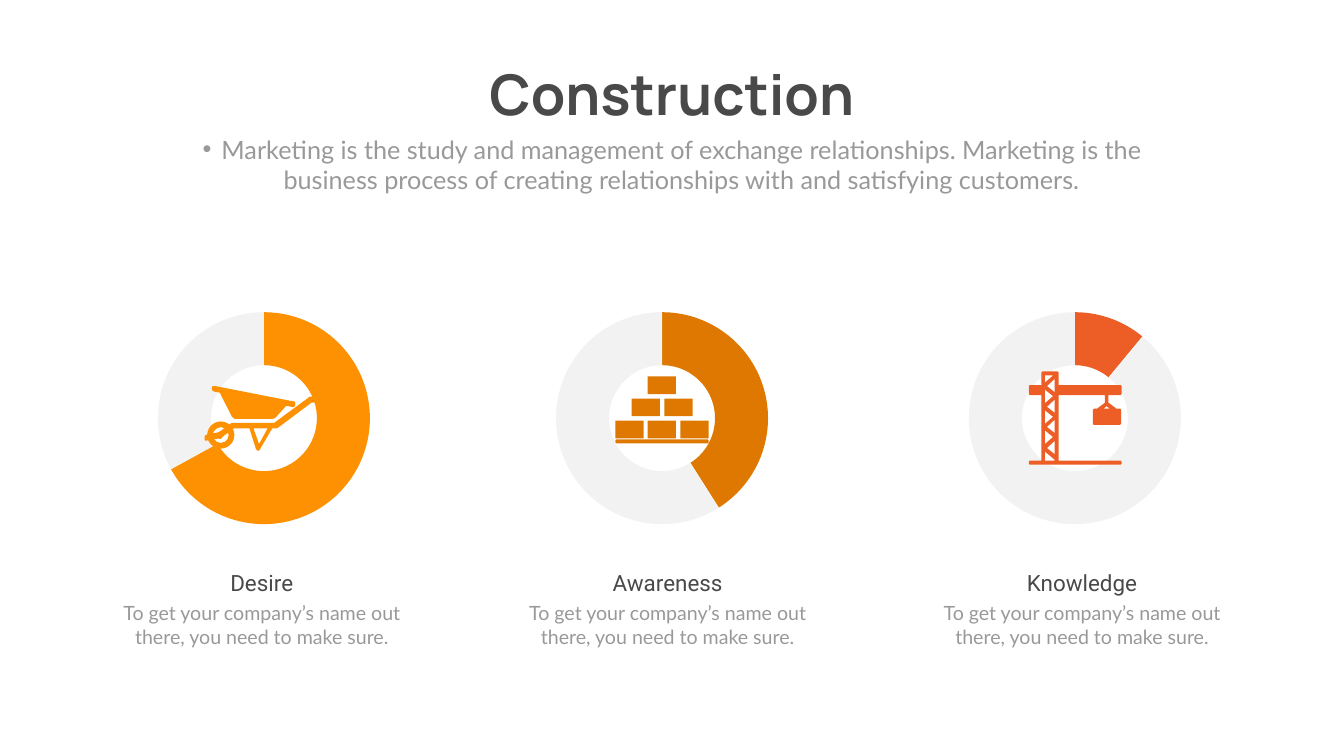
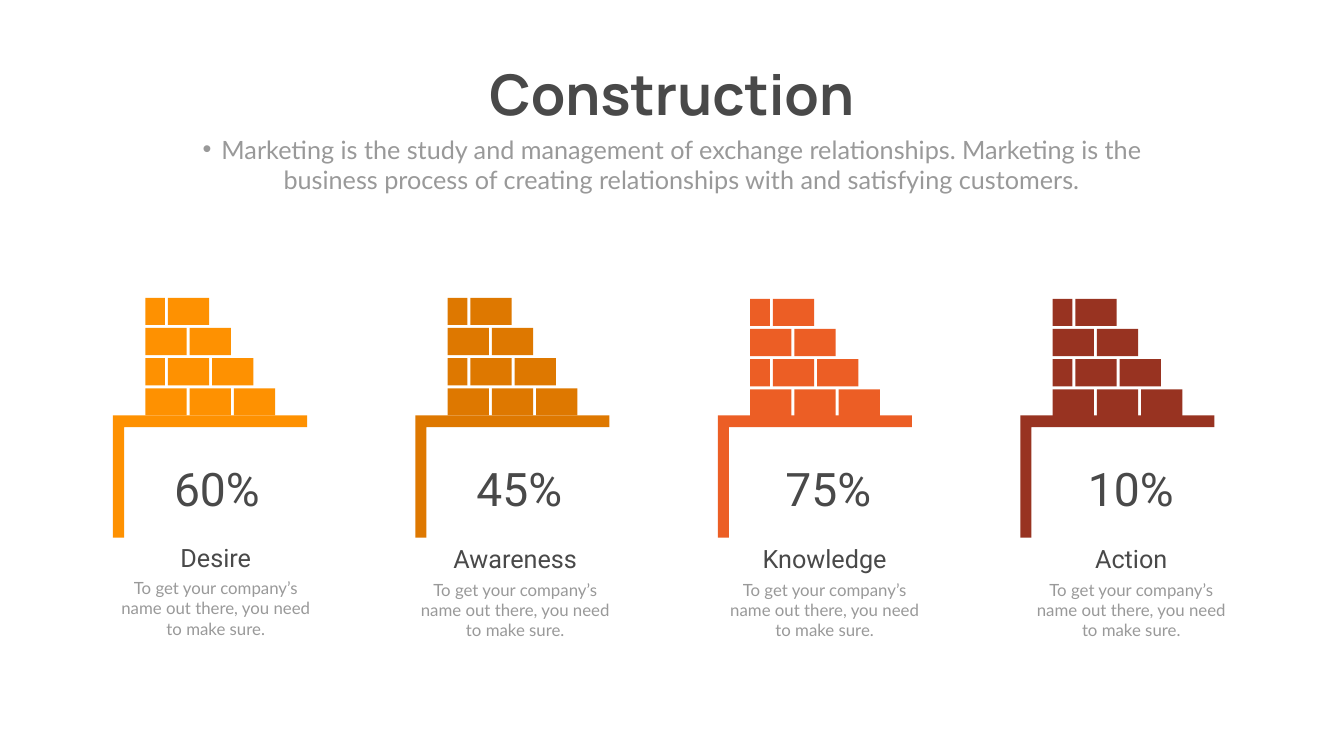
from math import hypot

from pptx import Presentation
from pptx.chart.data import CategoryChartData
from pptx.dml.color import RGBColor
from pptx.enum.chart import XL_CHART_TYPE
from pptx.enum.shapes import MSO_SHAPE
from pptx.enum.text import MSO_ANCHOR, MSO_AUTO_SIZE, PP_ALIGN
from pptx.oxml import parse_xml
from pptx.oxml.ns import nsdecls, qn
from pptx.util import Cm, Pt

COLORS = {
    "heading": "494949",
    "muted": "999999",
    "track": "F2F2F2",
    "desire": "FE9101",
    "awareness": "DE7800",
    "knowledge": "EC5E25",
    "action": "983321",
}
TITLE = "Construction"
SUBTITLE = ("Marketing is the study and management of exchange relationships. "
            "Marketing is the business process of creating relationships with "
            "and satisfying customers.")
DETAIL = "To get your company’s name out there, you need to make sure."
ICON_UNIT = Cm(0.0254)  # icon outlines are drawn on this grid

BRICK_WIDTH, HALF_BRICK, BRICK_HEIGHT = 2.08, 0.99, 1.37
BRICK_PITCH, COURSE_PITCH, JOINT = 2.23, 1.52, 0.15
WALL_COURSES = [(True, 1), (False, 2), (True, 2), (False, 3)]  # starts with half, whole bricks


def rgb(name):
    return RGBColor.from_string(COLORS[name])


def place(shape, left, top, width, height):
    shape.left, shape.top = Cm(left), Cm(top)
    shape.width, shape.height = Cm(width), Cm(height)


def write(shape, text, size, font, color, bold=False):
    frame = shape.text_frame
    frame.word_wrap = True
    frame.auto_size = MSO_AUTO_SIZE.SHAPE_TO_FIT_TEXT
    frame.vertical_anchor = MSO_ANCHOR.TOP
    frame.text = text
    paragraph = frame.paragraphs[0]
    paragraph.alignment = PP_ALIGN.CENTER
    paragraph.space_before = Pt(0)
    paragraph.font.size = Pt(size)
    paragraph.font.name = font
    paragraph.font.bold = bold
    paragraph.font.color.rgb = rgb(color)


def paint(shape, color):
    shape.shadow.inherit = False
    shape.fill.solid()
    shape.fill.fore_color.rgb = rgb(color)
    shape.line.fill.background()


def add_headed_slide(prs):
    slide = prs.slides.add_slide(prs.slide_layouts[1])
    title, subtitle = slide.shapes.title, slide.placeholders[1]

    place(title, 23.98, 2.84, 19.76, 3.68)
    write(title, TITLE, 80, "Manrope", "heading", bold=True)
    title.text_frame.word_wrap = False
    title.text_frame.vertical_anchor = MSO_ANCHOR.MIDDLE

    place(subtitle, 7.42, 6.63, 52.88, 3.33)
    subtitle.text_frame.text = SUBTITLE
    properties = subtitle.text_frame.paragraphs[0]._p.get_or_add_pPr()
    properties.set("marL", "0")
    properties.set("indent", "0")
    properties.append(parse_xml(f"<a:buNone {nsdecls('a')}/>"))
    write(subtitle, SUBTITLE, 36, "Lato", "muted")
    return slide


def add_centered_text(slide, text, center, top, width, height, size, font, color):
    box = slide.shapes.add_textbox(Cm(center - width / 2), Cm(top), Cm(width), Cm(height))
    write(box, text, size, font, color)


def add_ring(slide, center, share, color):
    data = CategoryChartData()
    data.categories = ["1", "2"]
    data.add_series("Series 1", (share, 100 - share))
    width, height, diameter = 12.17, 11.4, 10.68
    chart = slide.shapes.add_chart(
        XL_CHART_TYPE.DOUGHNUT, Cm(center - width / 2), Cm(15.37),
        Cm(width), Cm(height), data).chart
    chart.has_legend = False
    chart.has_title = False
    chart.font.name = "Calibri"
    chart.font.size = Pt(10)
    chart.font.color.rgb = rgb("muted")
    plot = chart.plots[0]
    plot.vary_by_categories = True
    for index, slice_color in enumerate((color, "track")):
        slice_format = plot.series[0].points[index].format
        slice_format.fill.solid()
        slice_format.fill.fore_color.rgb = rgb(slice_color)
        slice_format.line.fill.background()

    plot_area = chart._chartSpace.chart.plotArea
    plot_area.find(".//" + qn("c:holeSize")).set("val", "85")
    for old_layout in plot_area.findall(qn("c:layout")):
        plot_area.remove(old_layout)
    w, h = diameter / width, diameter / height
    plot_area.insert(0, parse_xml(
        f'<c:layout {nsdecls("c")}><c:manualLayout><c:layoutTarget val="inner"/>'
        '<c:xMode val="edge"/><c:yMode val="edge"/>'
        f'<c:x val="{(1 - w) / 2:.3f}"/><c:y val="{(1 - h) / 2:.3f}"/>'
        f'<c:w val="{w:.3f}"/><c:h val="{h:.3f}"/></c:manualLayout></c:layout>'))


def rounded(corners):
    """Expand (x, y, radius) corners into short arcs; (x, y) corners stay sharp."""
    points = []
    for i, (x, y, *radius) in enumerate(corners):
        if not radius:
            points.append((x, y))
            continue
        ends = []
        for neighbour in (corners[i - 1], corners[(i + 1) % len(corners)]):
            dx, dy = neighbour[0] - x, neighbour[1] - y
            cut = min(radius[0] / hypot(dx, dy), 0.5)
            ends.append((x + dx * cut, y + dy * cut))
        (ax, ay), (bx, by) = ends
        for t in (0, 0.25, 0.5, 0.75, 1):
            a, c, b = (1 - t) ** 2, 2 * t * (1 - t), t ** 2
            points.append((a * ax + c * x + b * bx, a * ay + c * y + b * by))
    return points


def add_outline(slide, left, top, contours, color):
    """Draw closed contours as one shape; inner contours become holes."""
    contours = [rounded(contour) for contour in contours]
    builder = slide.shapes.build_freeform(*contours[0][0], scale=float(ICON_UNIT))
    for i, (start, *rest) in enumerate(contours):
        if i:
            builder.move_to(*start)
        builder.add_line_segments(rest, close=True)
    paint(builder.convert_to_shape(Cm(left), Cm(top)), color)


def box_corners(x, y, width, height, *radius):
    return [(x, y, *radius), (x + width, y, *radius),
            (x + width, y + height, *radius), (x, y + height, *radius)]


def add_wheelbarrow(slide, left, top, color):
    wheel = slide.shapes.add_shape(
        MSO_SHAPE.DONUT, Cm(left + 0.13), Cm(top + 1.78), Cm(1.37), Cm(1.37))
    wheel.adjustments[0] = 0.21
    paint(wheel, color)
    frame = [(246, 21, 6), (208, 21, 3), (138, 73), (54, 73, 2), (32, 89), (26, 92),
             (0, 97, 5), (0, 109, 5), (28, 104), (32, 105), (39, 98), (58, 84),
             (89, 84), (103, 128, 3), (109, 128, 3), (134, 84), (143, 84, 2),
             (212, 33), (246, 33, 6)]
    leg_opening = [(108, 115), (97, 84), (125, 84)]
    add_outline(slide, left, top, [frame, leg_opening], color)
    tub = [(175, 30), (22, 0), (15, -1, 6), (14, 10, 6), (30, 13), (57, 65, 6),
           (138, 65, 6), (162, 39), (172, 41), (179, 42, 5), (180, 31, 5)]
    add_outline(slide, left, top, [tub], color)


def add_brick_stack(slide, left, top, color):
    bricks = [box_corners((3 - count) * 32.2 + i * 64.4, (count - 1) * 44, 56, 35)
              for count in (1, 2, 3) for i in range(count)]
    pallet = box_corners(0, 125, 185, 8, 4)
    add_outline(slide, left, top, bricks + [pallet], color)


def add_crane(slide, left, top, color):
    silhouette = [
        (184, 47, 3), (184, 27, 3), (59, 27), (59, 0, 3), (25, 0, 3), (25, 27),
        (0, 27, 3), (0, 47, 3), (25, 47), (25, 177), (0, 177, 4), (0, 185, 4),
        (184, 185, 4), (184, 177, 4), (59, 177), (59, 47), (151, 47), (151, 62),
        (135, 74), (127, 74, 3), (127, 106, 3), (183, 106, 3), (183, 74, 3),
        (174, 74), (158, 62), (158, 47)]
    left_gaps = [[(32, y), (48, y + 13), (32, y + 27)] for y in (36, 77, 117)]
    right_gaps = [[(51, y), (36, y + 14), (51, y + 26)] for y in (15, 56, 96, 138)]
    mast_ends = [[(32, 8), (48, 8), (32, 22)],
                 [(51, 177), (32, 177), (32, 159), (51, 175)]]
    hook_gap = [(161, 74), (148, 74), (154, 69)]
    add_outline(slide, left, top,
                [silhouette, *left_gaps, *right_gaps, *mast_ends, hook_gap], color)


def add_wall(slide, left, top, color):
    wall = slide.shapes.add_group_shape()
    for course, (starts_with_half, whole_bricks) in enumerate(WALL_COURSES):
        y = top + course * COURSE_PITCH
        offset = HALF_BRICK + JOINT if starts_with_half else 0
        bricks = [(left + offset + i * BRICK_PITCH, BRICK_WIDTH) for i in range(whole_bricks)]
        if starts_with_half:
            bricks.append((left, HALF_BRICK))
        for x, width in bricks:
            paint(wall.shapes.add_shape(MSO_SHAPE.RECTANGLE, Cm(x), Cm(y),
                                        Cm(width), Cm(BRICK_HEIGHT)), color)


def add_platform(slide, left, color):
    """Add an L-shaped bracket, a preset that MSO_SHAPE does not list."""
    platform = slide.shapes.add_shape(
        MSO_SHAPE.RECTANGLE, Cm(left), Cm(20.93), Cm(9.78), Cm(6.17))
    properties = platform._element.spPr
    properties.replace(properties.find(qn("a:prstGeom")), parse_xml(
        f'<a:prstGeom {nsdecls("a")} prst="corner"><a:avLst>'
        '<a:gd name="adj1" fmla="val 9700"/><a:gd name="adj2" fmla="val 9100"/>'
        '</a:avLst></a:prstGeom>'))
    platform.rotation = 180
    properties.find(qn("a:xfrm")).set("flipH", "1")
    paint(platform, color)


def build_ring_slide(prs):
    slide = add_headed_slide(prs)
    stages = [("Desire", 67, 13.3, 13.19),
              ("Awareness", 41, 33.36, 33.64),
              ("Knowledge", 11, 54.16, 54.52)]
    for stage, share, ring_center, text_center in stages:
        add_ring(slide, ring_center, share, stage.lower())
        add_centered_text(slide, stage, text_center, 28.55, 12.67, 1.63,
                          32, "Roboto", "heading")
        add_centered_text(slide, DETAIL, text_center, 30.18, 15.85, 2.64,
                          28, "Lato", "muted")
    add_wheelbarrow(slide, 10.31, 19.46, "desire")
    add_crane(slide, 51.84, 18.72, "knowledge")
    add_brick_stack(slide, 31.01, 18.97, "awareness")


def build_wall_slide(prs):
    slide = add_headed_slide(prs)
    stages = [("Desire", "60%", 15.01, 10.93, 10.87, 27.2),
              ("Awareness", "45%", 15.01, 26.17, 25.96, 27.28),
              ("Knowledge", "75%", 15.06, 41.74, 41.55, 27.28),
              ("Action", "10%", 15.06, 56.98, 57.0, 27.28)]
    for column, (stage, share, wall_top, share_center, text_center, text_top) in enumerate(stages):
        left, color = 5.69 + column * 15.24, stage.lower()
        add_wall(slide, left + 1.63, wall_top, color)
        add_platform(slide, left, color)
        add_centered_text(slide, share, share_center, 23.06, 6.27, 3.07,
                          66, "Roboto", "heading")
        add_centered_text(slide, DETAIL, text_center, text_top + 1.8, 10.06, 3.33,
                          24, "Lato", "muted")
        add_centered_text(slide, stage, text_center, text_top, 8.28, 1.8,
                          36, "Roboto", "heading")


def main():
    prs = Presentation()
    prs.slide_width, prs.slide_height = Cm(67.72), Cm(38.1)
    build_ring_slide(prs)
    build_wall_slide(prs)
    prs.save("out.pptx")


if __name__ == "__main__":
    main()
